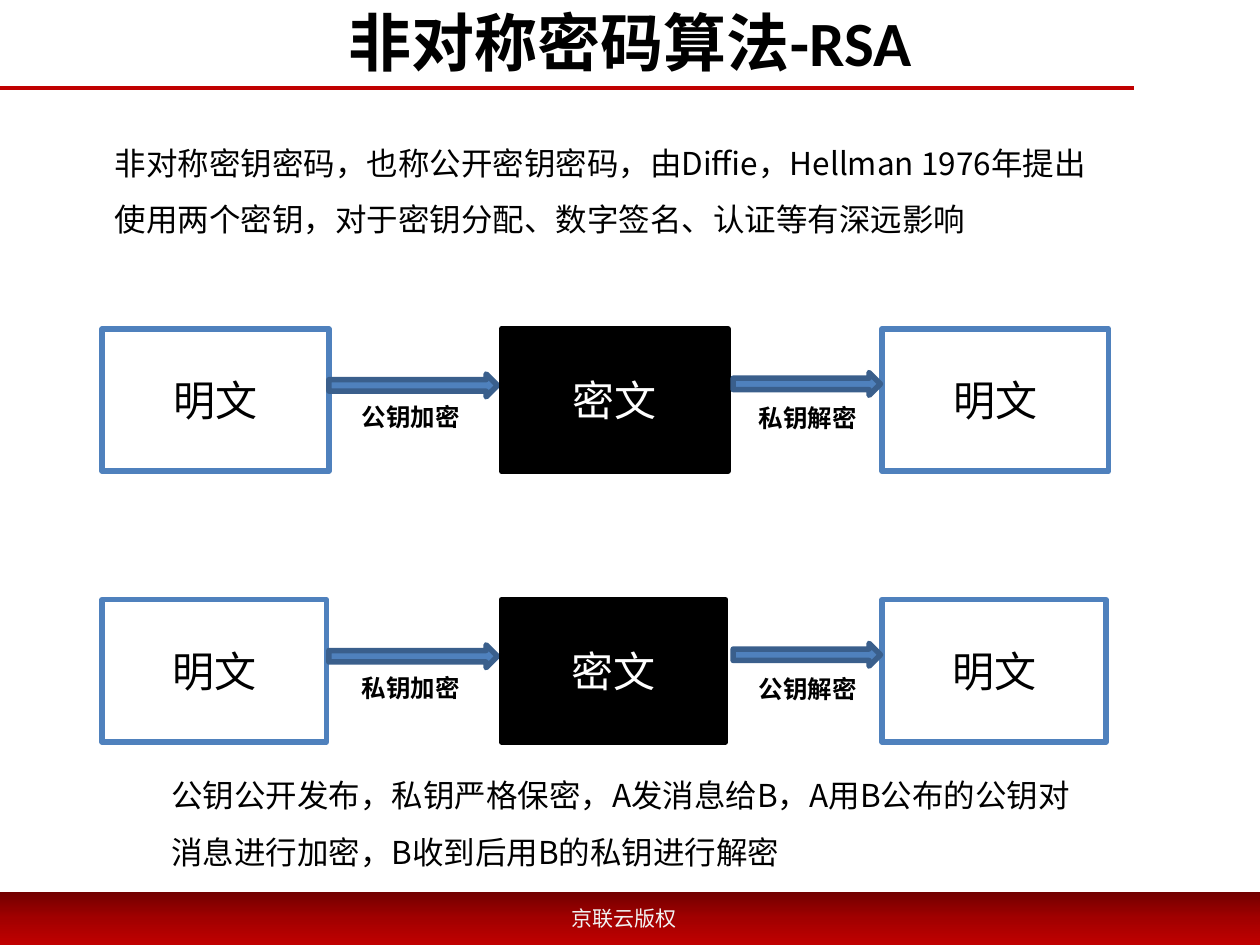
import copy
from dataclasses import dataclass

import pptx
import pptx.dml.color
import pptx.enum.shapes
import pptx.enum.text
import pptx.oxml
import pptx.oxml.ns
import pptx.util
from pptx.util import Cm, Pt

CJK = "Noto Sans CJK SC"
BLUE, DARK_BLUE = "4F81BD", "3A5F8C"
BLACK, WHITE, RED = "000000", "FFFFFF", "C00000"
SHAPE = pptx.enum.shapes.MSO_SHAPE
ALIGN = pptx.enum.text.PP_ALIGN
MIDDLE = pptx.enum.text.MSO_ANCHOR.MIDDLE

BOX_HEIGHT, ARROW_HEIGHT, LABEL_HEIGHT = 2.87, 0.46, 0.86


@dataclass(frozen=True)
class State:
    """A message state; lengths in cm."""
    text: str
    left: float
    fill: str
    line: str
    ink: str


@dataclass(frozen=True)
class Step:
    """Where an arrow and its label sit, with drops below the row's top in cm."""
    arrow_left: float
    arrow_width: float
    arrow_drop: float
    label_left: float
    label_width: float
    label_drop: float


@dataclass(frozen=True)
class Flow:
    top: float
    box_width: float
    encrypt: str
    decrypt: str


PLAIN = State("明文", 2.06, WHITE, BLUE, BLACK)
CIPHER = State("密文", 10.11, BLACK, BLACK, WHITE)
RESTORED = State("明文", 17.78, WHITE, BLUE, BLACK)
ENCRYPT = Step(6.63, 3.4, 0.91, 7.01, 2.54, 1.35)
DECRYPT = Step(14.78, 2.97, 0.88, 14.99, 2.59, 1.37)
FLOWS = (
    Flow(6.63, 4.57, "公钥加密", "私钥解密"),
    Flow(12.09, 4.52, "私钥加密", "公钥解密"),
)


def rgb(hex_colour: str) -> pptx.dml.color.RGBColor:
    return pptx.dml.color.RGBColor.from_string(hex_colour)


def add_run(paragraph, text: str, size: float, colour: str = BLACK,
            bold: bool = False, latin: str = CJK) -> None:
    run = paragraph.add_run()
    run.text = text
    run.font.size = Pt(size)
    run.font.bold = bold
    run.font.name = latin
    run.font.color.rgb = rgb(colour)
    east_asian = pptx.oxml.parse_xml(
        f'<a:ea {pptx.oxml.ns.nsdecls("a")} typeface="{CJK}"/>')
    run.font.fill  # colour precedes the typefaces
    run._r.rPr.find(pptx.oxml.ns.qn("a:latin")).addnext(east_asian)


def add_shape(slide, kind, left: float, top: float, width: float, height: float):
    shape = slide.shapes.add_shape(kind, Cm(left), Cm(top), Cm(width), Cm(height))
    shape.shadow.inherit = False
    return shape


def paint(shape, fill: str, line: str) -> None:
    shape.fill.solid()
    shape.fill.fore_color.rgb = rgb(fill)
    shape.line.color.rgb = rgb(line)
    shape.line.width = Pt(3.15)


def add_text(slide, left: float, top: float, width: float, height: float,
             lines: tuple[str, ...], size: float, colour: str = BLACK,
             bold: bool = False, align=ALIGN.LEFT, spacing: float = 1.0) -> None:
    frame = slide.shapes.add_textbox(
        Cm(left), Cm(top), Cm(width), Cm(height)).text_frame
    frame.word_wrap = True
    frame.auto_size = pptx.enum.text.MSO_AUTO_SIZE.SHAPE_TO_FIT_TEXT
    for index, line in enumerate(lines):
        paragraph = frame.add_paragraph() if index else frame.paragraphs[0]
        paragraph.alignment = align
        paragraph.line_spacing = spacing
        add_run(paragraph, line, size, colour, bold)


def draw_state(slide, state: State, flow: Flow) -> None:
    box = add_shape(slide, SHAPE.RECTANGLE, state.left, flow.top,
                    flow.box_width, BOX_HEIGHT)
    paint(box, state.fill, state.line)
    box.text_frame.vertical_anchor = MIDDLE
    paragraph = box.text_frame.paragraphs[0]
    paragraph.alignment = ALIGN.CENTER
    add_run(paragraph, state.text, 24, state.ink)


def draw_step(slide, step: Step, label: str, top: float) -> None:
    arrow = add_shape(slide, SHAPE.RIGHT_ARROW, step.arrow_left,
                      top + step.arrow_drop, step.arrow_width, ARROW_HEIGHT)
    paint(arrow, BLUE, DARK_BLUE)
    add_text(slide, step.label_left, top + step.label_drop, step.label_width,
             LABEL_HEIGHT, (label,), 14, bold=True, align=ALIGN.CENTER)


def draw_flow(slide, flow: Flow) -> None:
    draw_state(slide, PLAIN, flow)
    draw_step(slide, ENCRYPT, flow.encrypt, flow.top)
    draw_state(slide, CIPHER, flow)
    draw_state(slide, RESTORED, flow)
    draw_step(slide, DECRYPT, flow.decrypt, flow.top)


def draw_title(slide) -> None:
    rule = slide.shapes.add_connector(
        pptx.enum.shapes.MSO_CONNECTOR.STRAIGHT,
        Cm(0), Cm(1.78), Cm(22.86), Cm(1.78))
    rule.line.color.rgb = rgb(RED)
    rule.line.width = Pt(2.25)
    rule.element.spPr.append(pptx.oxml.parse_xml(
        f'<a:effectLst {pptx.oxml.ns.nsdecls("a")}/>'))

    title = slide.shapes.title
    title.left, title.top, title.width, title.height = (
        Cm(1.27), Cm(0), Cm(22.86), Cm(1.68))
    title.text_frame.vertical_anchor = MIDDLE
    heading = title.text_frame.paragraphs[0]
    heading.alignment = ALIGN.CENTER
    add_run(heading, "非对称密码算法-RSA", 36, bold=True, latin="Calibri")


def draw_footer(slide) -> None:
    bar = add_shape(slide, SHAPE.RECTANGLE, 0, 17.98, 25.4, 1.07)
    bar.line.fill.background()
    bar.fill.gradient()
    bar.fill.gradient_angle = 270
    stop_list = bar.element.spPr.find(".//" + pptx.oxml.ns.qn("a:gsLst"))
    stop_list.insert(1, copy.deepcopy(stop_list[0]))
    shades = ((0, "720000"), (0.5, "A20000"), (1, RED))
    for stop, (position, colour) in zip(bar.fill.gradient_stops, shades):
        stop.position = position
        stop.color.rgb = rgb(colour)
    add_text(slide, 10.74, 18.14, 3.68, 0.76, ("京联云版权",), 12, "F2F2F2",
             align=ALIGN.CENTER)


def main() -> None:
    deck = pptx.Presentation()
    deck.slide_width, deck.slide_height = Cm(25.4), Cm(19.05)
    slide = deck.slides.add_slide(deck.slide_layouts.get_by_name("Title Only"))
    draw_title(slide)
    draw_footer(slide)
    for flow in FLOWS:
        draw_flow(slide, flow)
    add_text(slide, 2.06, 2.39, 20.75, 2.57,
             ("非对称密钥密码，也称公开密钥密码，由Diffie，Hellman 1976年提出",
              "使用两个密钥，对于密钥分配、数字签名、认证等有深远影响"),
             18, spacing=1.5)
    add_text(slide, 3.2, 15.14, 18.69, 2.57,
             ("公钥公开发布，私钥严格保密，A发消息给B，A用B公布的公钥对消息进行加密，"
              "B收到后用B的私钥进行解密",),
             18, spacing=1.5)
    deck.save("out.pptx")


if __name__ == "__main__":
    main()
